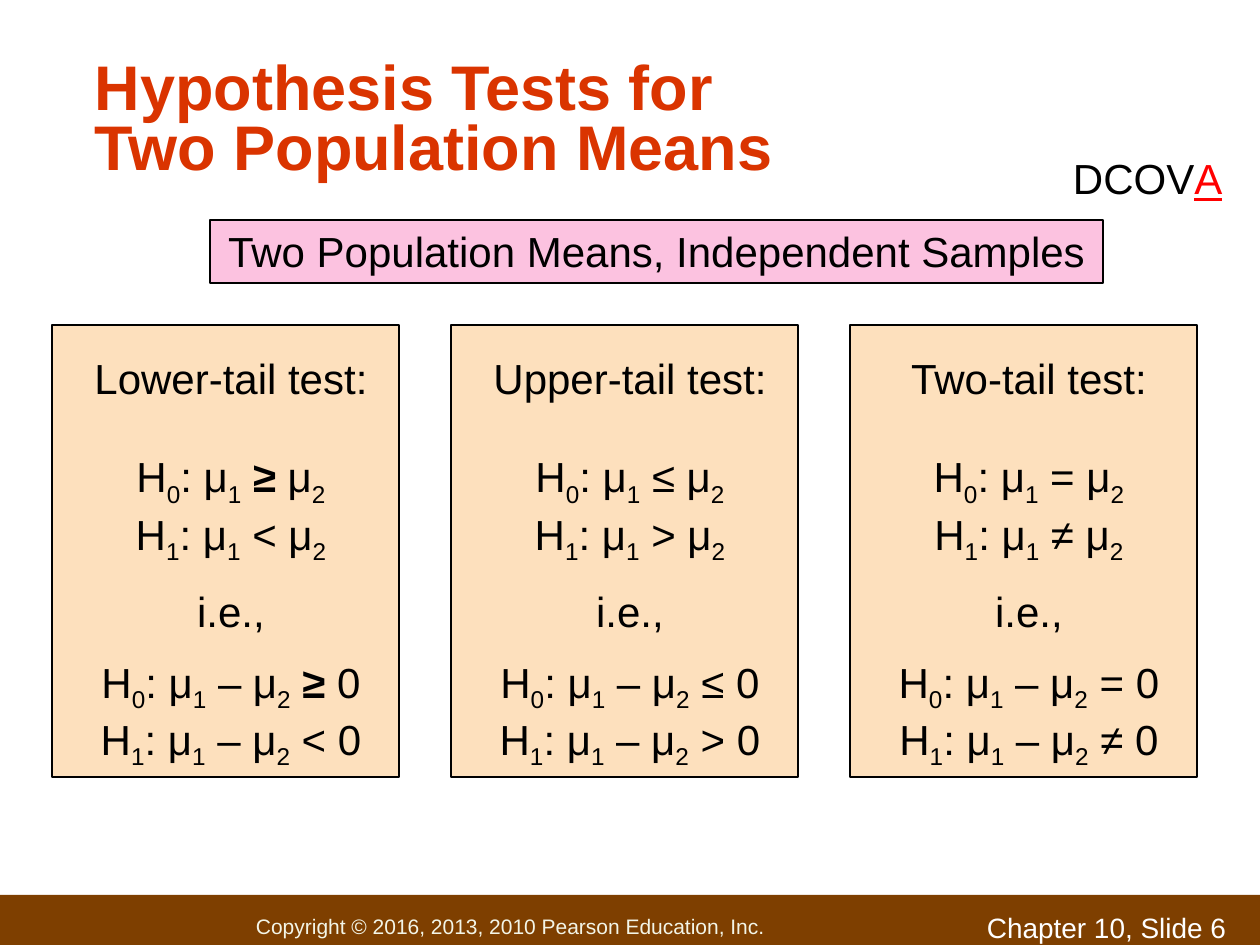
from pptx import Presentation
from pptx import util as u
from pptx.dml.color import RGBColor
from pptx.enum import shapes, text

PX = 914400 // 126
COLORS = {"title": "DA3400", "bar": "7E3F00", "copyright": "F3F5E7",
          "white": "FFFFFF", "black": "000000", "panel": "FDE0BD",
          "banner": "FCC2E0", "accent": "FF0000"}

presentation = Presentation()
presentation.slide_width = 1260 * PX
presentation.slide_height = 945 * PX
slide = presentation.slides.add_slide(presentation.slide_layouts[6])


def add_rectangle(left, top, width, height, fill, outlined=True):
    shape = slide.shapes.add_shape(shapes.MSO_SHAPE.RECTANGLE,
                                   left * PX, top * PX, width * PX, height * PX)
    shape.shadow.inherit = False
    shape.fill.solid()
    shape.fill.fore_color.rgb = RGBColor.from_string(COLORS[fill])
    if outlined:
        shape.line.color.rgb = RGBColor.from_string(COLORS["black"])
        shape.line.width = u.Pt(1.5)
    else:
        shape.line.fill.background()
    return shape


def write(frame, content, size=24, color="black", bold=False, align="LEFT",
          anchor="TOP", margin=13, gaps=None, spacing=None):
    frame.word_wrap = True
    frame.vertical_anchor = text.MSO_ANCHOR[anchor]
    frame.margin_left = frame.margin_right = margin * PX
    frame.margin_top = frame.margin_bottom = 6 * PX
    for row, line in enumerate(content.split("\n")):
        paragraph = frame.add_paragraph() if row else frame.paragraphs[0]
        paragraph.alignment = text.PP_ALIGN[align]
        if spacing:
            paragraph.line_spacing = spacing
        if gaps and row in gaps:
            paragraph.space_before = u.Pt(gaps[row])
        for index, part in enumerate(line.split("\v")):
            if index:
                paragraph.add_line_break()
            for order, piece in enumerate(part.split("_")):
                subscript, rest = (piece[0], piece[1:]) if order else ("", piece)
                for words in (subscript, *rest.partition("≥")):
                    if not words:
                        continue
                    run = paragraph.add_run()
                    run.text = words
                    run.font.name = "Arial"
                    run.font.size = u.Pt(size)
                    run.font.bold = bold or words == "≥"
                    run.font.color.rgb = RGBColor.from_string(COLORS[color])
                    if words is subscript:
                        run._r.get_or_add_rPr().set("baseline", "-25000")
    return run


bar = add_rectangle(0, 895, 1260, 62, "bar", outlined=False)
write(bar.text_frame, "Copyright © 2016, 2013, 2010 Pearson Education, Inc.",
      size=12, color="copyright", anchor="MIDDLE", margin=256)

slide_number = slide.shapes.add_textbox(974 * PX, 905 * PX, 286 * PX, 33 * PX)
write(slide_number.text_frame, "Chapter 10, Slide 6", size=16, color="white")

title = slide.shapes.add_textbox(84 * PX, 53 * PX, 1018 * PX, 136 * PX)
write(title.text_frame, "Hypothesis Tests for\vTwo Population Means", size=36,
      color="title", bold=True, anchor="BOTTOM", margin=11, spacing=0.8)

stage = slide.shapes.add_textbox(1060 * PX, 147 * PX, 200 * PX, 63 * PX)
current_letter = write(stage.text_frame, "DCOV_A")
current_letter._r.get_or_add_rPr().set("baseline", "0")
current_letter.font.underline = True
current_letter.font.color.rgb = RGBColor.from_string(COLORS["accent"])

banner = add_rectangle(210, 220, 893, 63, "banner")
write(banner.text_frame, "Two Population Means, Independent Samples", align="CENTER")

tests = [("Lower", "≥", "<"), ("Upper", "≤", ">"), ("Two", "=", "≠")]
for column, (name, null, alternative) in enumerate(tests):
    left = 52 + column * 399
    add_rectangle(left, 325, 347, 452, "panel")
    hypotheses = slide.shapes.add_textbox((left - 10) * PX, 346 * PX, 378 * PX, 437 * PX)
    write(hypotheses.text_frame,
          f"{name}-tail test:\n"
          f"H_0: μ_1 {null} μ_2\n"
          f"H_1: μ_1 {alternative} μ_2\n"
          "i.e.,\n"
          f"H_0: μ_1 – μ_2 {null} 0\n"
          f"H_1: μ_1 – μ_2 {alternative} 0",
          align="CENTER", gaps={1: 27.6, 3: 11.5, 4: 11.5})

presentation.save("out.pptx")
